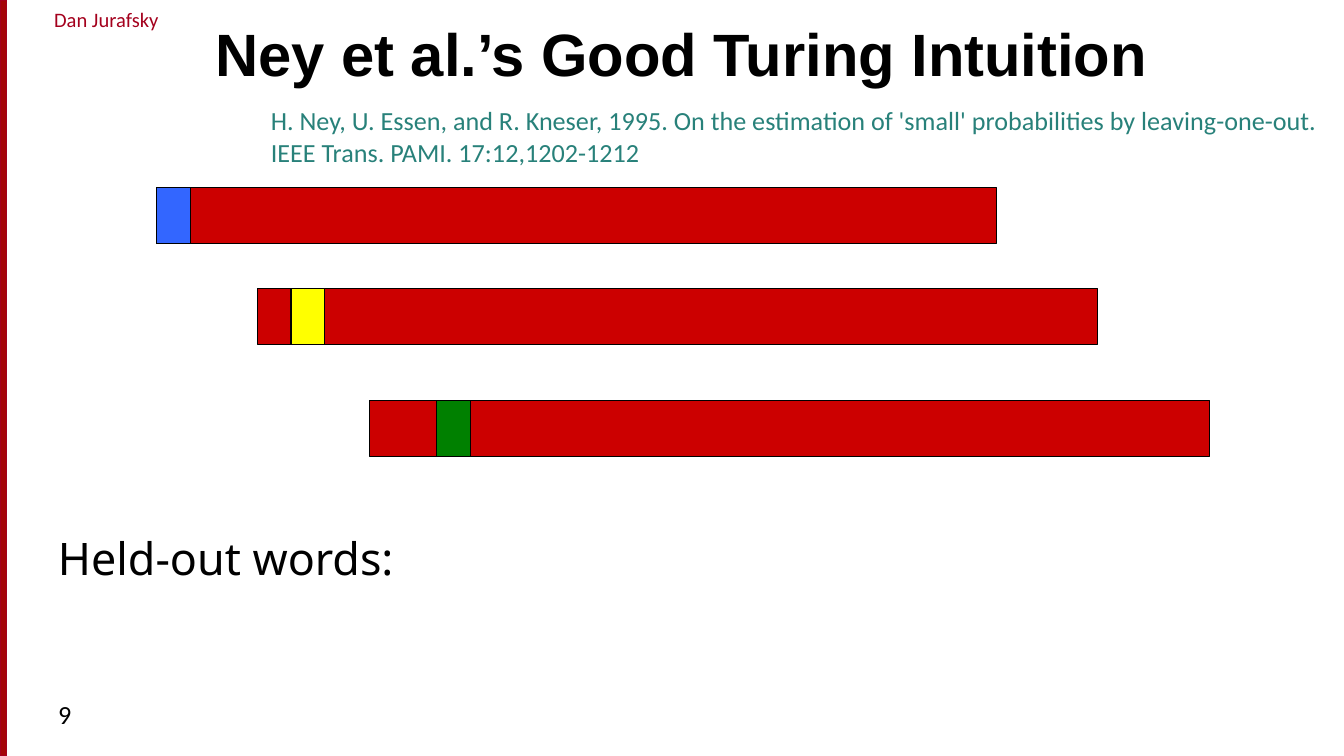
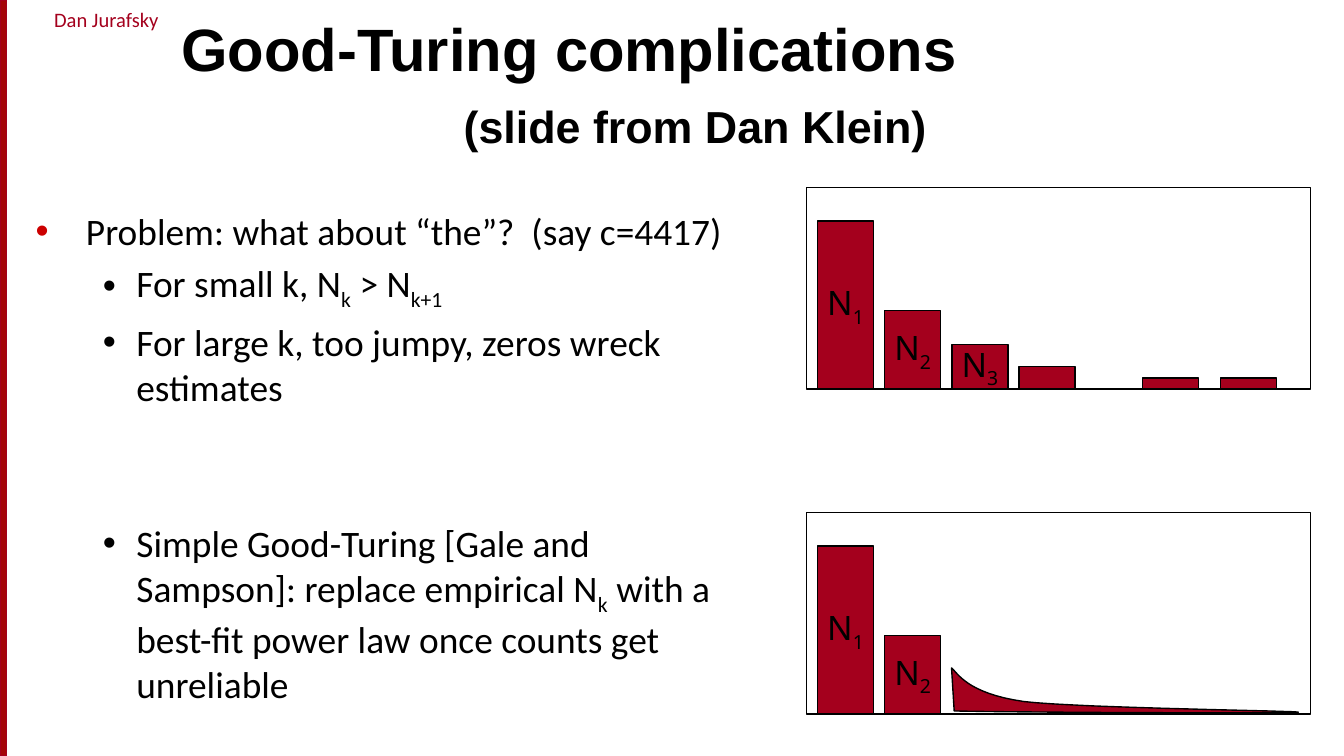
import dataclasses
import typing

import lxml.etree
import pptx
import pptx.dml.color
import pptx.enum.shapes
import pptx.enum.text
import pptx.oxml.ns
import pptx.util

# Grid: 120 columns by 67.5 rows, square cells of 1/12 inch
COLUMNS, ROWS = 120, 67.5
CELL = pptx.util.Inches(10) // COLUMNS
TITLE_ONLY = 5

COLORS = {
    "ink": "000000",
    "crimson": "A4001D",
    "strip": "A40508",
    "red": "CC0000",
    "blue": "3366FF",
    "yellow": "FFFF00",
    "green": "008000",
    "teal": "28817A",
}
Align = pptx.enum.text.PP_ALIGN
Anchor = pptx.enum.text.MSO_ANCHOR
Fit = pptx.enum.text.MSO_AUTO_SIZE
RECTANGLE = pptx.enum.shapes.MSO_SHAPE.RECTANGLE


class Area(typing.NamedTuple):
    """Left, top, width and height in grid cells."""
    left: float
    top: float
    width: float
    height: float

    def lengths(self) -> list[int]:
        return [cells(value) for value in self]


class Style(typing.NamedTuple):
    size: float
    font: str = "Calibri"
    color: str = "ink"
    bold: bool = False


@dataclasses.dataclass
class Paragraph:
    """Text in which every second part, split at "_", is a subscript."""
    text: str
    style: Style
    formats: dict = dataclasses.field(default_factory=dict)
    margin: float = 0
    bullet: str = ""
    hang: float = 0


class HeldOut(typing.NamedTuple):
    """A row of training data with one held-out word."""
    left: float
    top: float
    offset: float
    color: str


class Bar(typing.NamedTuple):
    offset: float
    height: float
    label: str = ""


TITLE = Style(32, "Arial", bold=True)
SUBTITLE = Style(24, "Arial", bold=True)
BODY = Style(20)
SMALL = Style(14)
BAR_LABEL = Style(18, "Noto Sans")


def cells(count: float) -> int:
    return round(count * CELL)


def rgb(name: str) -> pptx.dml.color.RGBColor:
    return pptx.dml.color.RGBColor.from_string(COLORS[name])


def apply(target: typing.Any, formats: dict) -> None:
    for name, value in formats.items():
        setattr(target, name, value)


def add_bullet(para: typing.Any, color: str) -> None:
    properties = para._p.get_or_add_pPr()
    tag = pptx.oxml.ns.qn
    bullet_color = lxml.etree.SubElement(properties, tag("a:buClr"))
    lxml.etree.SubElement(bullet_color, tag("a:srgbClr"), val=COLORS[color])
    lxml.etree.SubElement(properties, tag("a:buFont"), typeface="Arial")
    lxml.etree.SubElement(properties, tag("a:buChar"), char="•")


def write(frame: typing.Any, paragraphs: list[Paragraph], **formats: typing.Any) -> None:
    apply(frame, {"word_wrap": True, "auto_size": Fit.NONE, **formats})
    for index, paragraph in enumerate(paragraphs):
        para = frame.add_paragraph() if index else frame.paragraphs[0]
        apply(para, {"alignment": Align.LEFT, **paragraph.formats})
        properties = para._p.get_or_add_pPr()
        properties.set("marL", str(cells(paragraph.margin)))
        properties.set("indent", str(cells(-paragraph.hang)))
        if paragraph.bullet:
            add_bullet(para, paragraph.bullet)
        style = paragraph.style
        for part, text in enumerate(paragraph.text.split("_")):
            if not text:
                continue
            span = para.add_run()
            span.text = text
            apply(span.font, {"size": pptx.util.Pt(style.size), "name": style.font,
                              "bold": style.bold})
            span.font.color.rgb = rgb(style.color)
            if part % 2:
                span._r.get_or_add_rPr().set("baseline", "-25000")


def add_text(page: typing.Any, area: Area, paragraphs: list[Paragraph],
             **formats: typing.Any) -> None:
    box = page.shapes.add_textbox(*area.lengths())
    write(box.text_frame, paragraphs, **formats)


def paint(shape: typing.Any, fill: str, line: str = "ink") -> None:
    shape.shadow.inherit = False
    if fill:
        shape.fill.solid()
        shape.fill.fore_color.rgb = rgb(fill)
    else:
        shape.fill.background()
    shape.line.color.rgb = rgb(line)
    shape.line.width = pptx.util.Pt(0.75)


def add_rectangle(shapes: typing.Any, area: Area, fill: str, line: str = "ink") -> typing.Any:
    rectangle = shapes.add_shape(RECTANGLE, *area.lengths())
    paint(rectangle, fill, line)
    return rectangle


def add_page(deck: typing.Any, title_area: Area, title: list[Paragraph],
             **formats: typing.Any) -> typing.Any:
    """Add a page with the author line, the side strip and a title."""
    page = deck.slides.add_slide(deck.slide_layouts[TITLE_ONLY])
    add_text(page, Area(1, 0, 17, 3.5),
             [Paragraph("Dan Jurafsky", Style(11, color="crimson"),
                        {"alignment": Align.CENTER})],
             margin_left=0, margin_right=0)
    add_rectangle(page.shapes, Area(0, 0, 0.6, ROWS), "strip", "crimson")
    heading = page.shapes.title
    apply(heading, dict(zip(("left", "top", "width", "height"), title_area.lengths())))
    write(heading.text_frame, title, vertical_anchor=Anchor.BOTTOM, **formats)
    return page


# Held-out rows of the first page
DATA_WIDTH, WORD_WIDTH, ROW_HEIGHT = 75, 3, 5
HELD_OUT_ROWS = [
    HeldOut(14, 16.75, 0, "blue"),
    HeldOut(23, 25.75, 3, "yellow"),
    HeldOut(33, 35.75, 6, "green"),
]


def build_intuition(deck: typing.Any) -> None:
    page = add_page(deck, Area(18, -1.2, 98, 9.7),
                    [Paragraph("Ney et al.’s Good Turing Intuition", TITLE)])
    add_text(page, Area(4, 61.8, 26, 4.5), [Paragraph("9", SMALL)])
    for row in HELD_OUT_ROWS:
        add_rectangle(page.shapes, Area(row.left, row.top, DATA_WIDTH, ROW_HEIGHT), "red")
        add_rectangle(page.shapes,
                      Area(row.left + row.offset, row.top, WORD_WIDTH, ROW_HEIGHT), row.color)
    add_text(page, Area(4, 46.8, 33.6, 6),
             [Paragraph("Held-out words:", Style(24, "Noto Sans"))], word_wrap=False)
    citation = ("H. Ney, U. Essen, and R. Kneser, 1995. On the estimation of 'small' "
                "probabilities by leaving-one-out. IEEE Trans. PAMI. 17:12,1202-1212")
    add_text(page, Area(23, 8.75, 97, 6.85),
             [Paragraph(citation, Style(14, color="teal"))])


# Count histograms of the second page
FRAME_LEFT, FRAME_WIDTH, FRAME_HEIGHT, BAR_WIDTH = 72, 45, 18, 5
TALL_BARS = [Bar(1, 15, "N_1"), Bar(7, 7, "N_2")]
JUMPY_BARS = TALL_BARS + [Bar(13, 4, "N_3"), Bar(19, 2), Bar(30, 1), Bar(37, 1)]

# Power-law outline, as cells from the frame's corner: start, then cubic segments
CURVE_START = (12.96, 13.89)
CURVE_SEGMENTS = [
    ((13.44, 14.25), (14.28, 16.17), (19.44, 16.89)),
    ((24.6, 17.49), (45, 17.73), (43.92, 17.85)),
    ((42.84, 17.97), (18.24, 17.85), (13.2, 17.73)),
]
CURVE_STEPS = 16


def curve_points() -> list[tuple[float, float]]:
    points = [CURVE_START]
    for first, second, end in CURVE_SEGMENTS:
        corners = list(zip(points[-1], first, second, end))
        for step in range(1, CURVE_STEPS + 1):
            t = step / CURVE_STEPS
            u = 1 - t
            weights = (u ** 3, 3 * u * u * t, 3 * u * t * t, t ** 3)
            points.append(tuple(sum(w * v for w, v in zip(weights, axis))
                                for axis in corners))
    return points


def add_histogram(page: typing.Any, top: float, bars: list[Bar]) -> typing.Any:
    shapes = page.shapes.add_group_shape().shapes
    add_rectangle(shapes, Area(FRAME_LEFT, top, FRAME_WIDTH, FRAME_HEIGHT), "")
    for bar in bars:
        area = Area(FRAME_LEFT + bar.offset, top + FRAME_HEIGHT - bar.height,
                    BAR_WIDTH, bar.height)
        column = add_rectangle(shapes, area, "crimson")
        if bar.label:
            write(column.text_frame,
                  [Paragraph(bar.label, BAR_LABEL, {"alignment": Align.CENTER})],
                  word_wrap=False, vertical_anchor=Anchor.MIDDLE)
    return shapes


def add_power_law(shapes: typing.Any, top: float) -> None:
    start, *rest = [(cells(FRAME_LEFT + x), cells(top + y)) for x, y in curve_points()]
    builder = shapes.build_freeform(*start)
    builder.add_line_segments(rest, close=True)
    paint(builder.convert_to_shape(), "crimson")


def build_complications(deck: typing.Any) -> None:
    page = add_page(
        deck, Area(15, 2.75, 98, 11.75),
        [Paragraph("Good-Turing complications", TITLE),
         Paragraph("(slide from Dan Klein)", SUBTITLE,
                   {"line_spacing": pptx.util.Pt(37)}, margin=25.2)],
        margin_bottom=cells(0.9))

    def point(text: str, before: float = 4) -> Paragraph:
        return Paragraph(text, BODY, {"level": 1, "space_before": pptx.util.Pt(before)},
                         margin=9, bullet="ink", hang=3)

    add_text(page, Area(2, 18, 66, 44.75), [
        Paragraph("Problem: what about “the”?  (say c=4417)", BODY,
                  {"space_before": pptx.util.Pt(4)}, margin=4.5, bullet="red", hang=4.5),
        point("For small k, N_k_ > N_k+1_"),
        point("For large k, too jumpy, zeros wreck estimates"),
        point("Simple Good-Turing [Gale and Sampson]: replace empirical N_k_ with a "
              "best-fit power law once counts get unreliable", before=60),
    ])
    add_histogram(page, 16.75, JUMPY_BARS)
    smooth_top = 45.75
    add_power_law(add_histogram(page, smooth_top, TALL_BARS), smooth_top)


def main() -> None:
    deck = pptx.Presentation()
    deck.slide_width, deck.slide_height = cells(COLUMNS), cells(ROWS)
    build_intuition(deck)
    build_complications(deck)
    deck.save("out.pptx")


if __name__ == "__main__":
    main()
